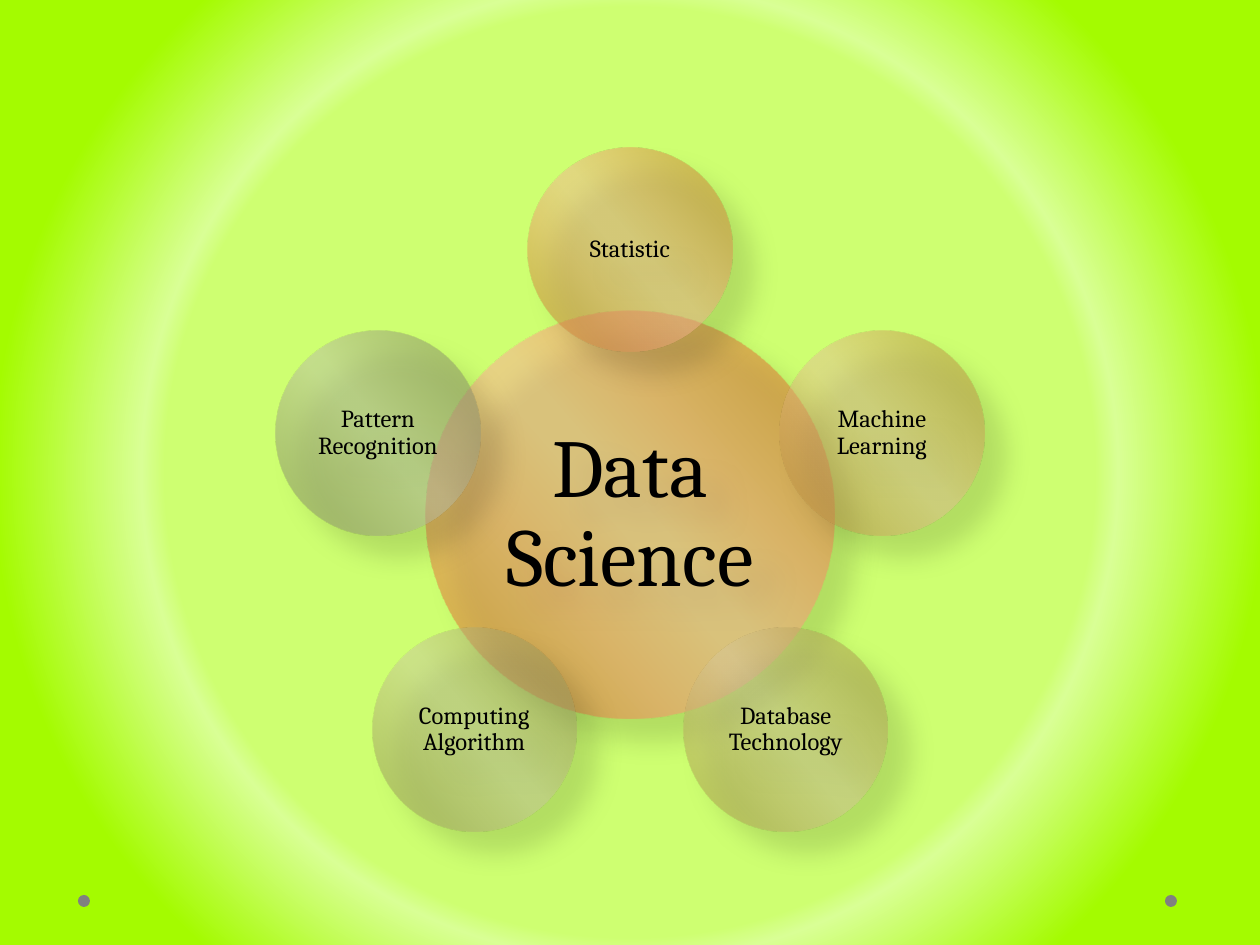
"""Build a radial diagram of the five fields that make up data science."""
import math

import lxml.etree
import pptx
import pptx.dml.color
import pptx.enum.shapes
import pptx.enum.text
import pptx.oxml
import pptx.util

RGB = pptx.dml.color.RGBColor
OVAL = pptx.enum.shapes.MSO_SHAPE.OVAL
NS = 'xmlns:a="http://schemas.openxmlformats.org/drawingml/2006/main"'
PX = 914400 / 126
BLACK = RGB(0, 0, 0)
GRAY = RGB(0x80, 0x80, 0x80)
BG_STOPS = [
    (59, RGB(0xCE, 0xFF, 0x71), 100),
    (62, RGB(0xD9, 0xFF, 0x95), 100),
    (81, RGB(0xA4, 0xFB, 0x00), 30),
]
BG_PATH = '<a:path path="circle"><a:fillToRect l="50000" t="50000" r="50000" b="50000"/></a:path>'
SHADOW = (
    f'<a:effectLst {NS}><a:outerShdw blurRad="190500" dist="228600" dir="2700000" rotWithShape="0">'
    '<a:srgbClr val="000000"><a:alpha val="26000"/></a:srgbClr></a:outerShdw></a:effectLst>'
)
CX, CY, ORBIT = 630, 515, 265
HUB_SIZE, FIELD_SIZE = 408, 204
HUB = ("Data Science", RGB(0xCC, 0x52, 0x00), RGB(0xFF, 0x8A, 0x6B), RGB(0xFF, 0xA7, 0x95))
FIELDS = [
    ("Statistic", RGB(0xBB, 0x6C, 0x10), RGB(0xEC, 0x9F, 0x6C), RGB(0xF5, 0xB4, 0x90)),
    ("Machine Learning", RGB(0xA9, 0x7D, 0x21), RGB(0xDA, 0xAE, 0x6F), RGB(0xE6, 0xC0, 0x93)),
    ("Database Technology", RGB(0x98, 0x85, 0x31), RGB(0xC9, 0xB5, 0x75), RGB(0xD7, 0xC7, 0x97)),
    ("Computing Algorithm", RGB(0x87, 0x84, 0x41), RGB(0xB8, 0xB4, 0x7E), RGB(0xC9, 0xC7, 0x9D)),
    ("Pattern Recognition", RGB(0x73, 0x77, 0x51), RGB(0xA5, 0xA8, 0x89), RGB(0xBA, 0xBD, 0xA5)),
]


def set_gradient(fill, parent, stops, direction):
    fill.gradient()
    old = parent.find(".//{*}gradFill")
    gs = "".join(
        f'<a:gs pos="{pos * 1000}"><a:srgbClr val="{color}"><a:alpha val="{alpha * 1000}"/></a:srgbClr></a:gs>'
        for pos, color, alpha in stops
    )
    new = pptx.oxml.parse_xml(f'<a:gradFill {NS} rotWithShape="1"><a:gsLst>{gs}</a:gsLst>{direction}</a:gradFill>')
    old.getparent().replace(old, new)


def add_circle(s, cx, cy, size):
    sp = s.shapes.add_shape(OVAL, *(round(v * PX) for v in (cx - size / 2, cy - size / 2, size, size)))
    sp.line.fill.background()
    return sp


prs = pptx.Presentation()
prs.slide_width, prs.slide_height = pptx.util.Inches(10), pptx.util.Inches(7.5)
s = prs.slides.add_slide(prs.slide_layouts[6])
set_gradient(s.background.fill, s.element, BG_STOPS, BG_PATH)

for x in (1171, 84):
    dot = add_circle(s, x, 901, 12)
    dot.fill.solid()
    dot.fill.fore_color.rgb = GRAY
    dot.shadow.inherit = False

circles = [(CX, CY, HUB_SIZE, 47, 9, HUB)]
for i, field in enumerate(FIELDS):
    angle = 2 * math.pi * i / len(FIELDS)
    x, y = CX + ORBIT * math.sin(angle), CY - ORBIT * math.cos(angle)
    circles.append((x, y, FIELD_SIZE, 14, 2, field))

for x, y, size, font_size, inset, (label, dark, mid, light) in circles:
    sp = add_circle(s, x, y, size)
    colors = zip((0, 33, 47, 53, 68, 100), (dark, mid, light, light, mid, dark))
    stops = [(pos, color, 50) for pos, color in colors]
    set_gradient(sp.fill, sp.element.spPr, stops, '<a:lin ang="8350000" scaled="1"/>')
    sp.element.spPr.append(pptx.oxml.parse_xml(SHADOW))
    tf = sp.text_frame
    tf.text = label
    tf.word_wrap = True
    tf.vertical_anchor = pptx.enum.text.MSO_ANCHOR.MIDDLE
    tf.margin_left = tf.margin_right = tf.margin_top = tf.margin_bottom = round(inset * PX)
    p = tf.paragraphs[0]
    p.alignment = pptx.enum.text.PP_ALIGN.CENTER
    p.line_spacing = 0.9
    r = p.runs[0]
    r.font.name = "Cambria"
    r.font.size = pptx.util.Pt(font_size)
    r.font.color.rgb = BLACK

prs.save("out.pptx")
